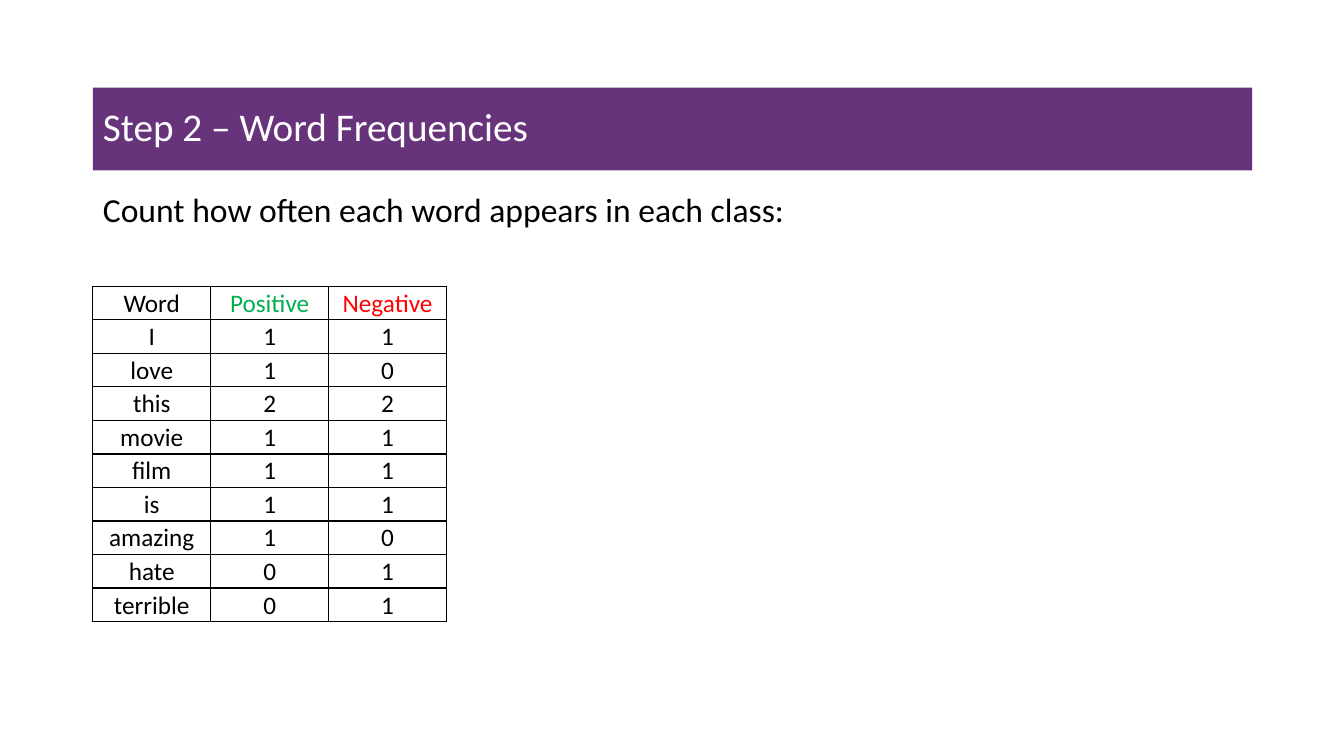
from dataclasses import dataclass

from lxml.etree import SubElement
from pptx import Presentation
from pptx.dml.color import RGBColor
from pptx.enum.text import MSO_ANCHOR, MSO_AUTO_SIZE, PP_ALIGN
from pptx.oxml.ns import qn
from pptx.util import Inches, Pt

COLORS = {
    "banner": "67337A",
    "white": "FFFFFF",
    "black": "000000",
    "positive": "00B050",
    "negative": "FF0000",
}
FONT = "Calibri"
LEFT = 0.92
COLUMN_WIDTH = 1.17
ROW_HEIGHT = 0.333


@dataclass(frozen=True)
class WordCount:
    word: str
    positive: int
    negative: int


@dataclass(frozen=True)
class TextBlock:
    text: str
    top: float
    height: float
    size: int
    color: str
    anchor: MSO_ANCHOR
    space_before: int


HEADERS = {"Word": "black", "Positive": "positive", "Negative": "negative"}
COUNTS = [
    WordCount("I", 1, 1),
    WordCount("love", 1, 0),
    WordCount("this", 2, 2),
    WordCount("movie", 1, 1),
    WordCount("film", 1, 1),
    WordCount("is", 1, 1),
    WordCount("amazing", 1, 0),
    WordCount("hate", 0, 1),
    WordCount("terrible", 0, 1),
]
TITLE = TextBlock("Step 2 – Word Frequencies", 0.87, 0.82, 28, "white", MSO_ANCHOR.MIDDLE, 0)
INTRO = TextBlock(
    "Count how often each word appears in each class:", 1.87, 0.55, 24, "black", MSO_ANCHOR.TOP, 10
)


def rgb(name: str) -> RGBColor:
    return RGBColor.from_string(COLORS[name])


def style_paragraph(paragraph, size: int, color: str, alignment: PP_ALIGN) -> None:
    paragraph.alignment = alignment
    paragraph.font.name = FONT
    paragraph.font.size = Pt(size)
    paragraph.font.color.rgb = rgb(color)


def fill_placeholder(placeholder, block: TextBlock) -> None:
    placeholder.left, placeholder.top = Inches(LEFT), Inches(block.top)
    placeholder.width, placeholder.height = Inches(11.5), Inches(block.height)
    frame = placeholder.text_frame
    frame.text = block.text
    frame.word_wrap = True
    frame.auto_size = MSO_AUTO_SIZE.NONE
    frame.vertical_anchor = block.anchor
    paragraph = frame.paragraphs[0]
    properties = paragraph._p.get_or_add_pPr()
    properties.set("marL", "0")
    properties.set("indent", "0")
    SubElement(properties, qn("a:buNone"))
    paragraph.line_spacing = 0.9
    paragraph.space_before = Pt(block.space_before)
    style_paragraph(paragraph, block.size, block.color, PP_ALIGN.LEFT)


def add_borders(cell) -> None:
    properties = cell._tc.get_or_add_tcPr()
    for position, side in enumerate(("a:lnL", "a:lnR", "a:lnT", "a:lnB")):
        border = properties.makeelement(qn(side), {"w": str(Pt(1))})
        properties.insert(position, border)
        solid = SubElement(border, qn("a:solidFill"))
        SubElement(solid, qn("a:srgbClr"), val=COLORS["black"])


def fill_cell(cell, text: str, color: str) -> None:
    cell.text = text
    cell.vertical_anchor = MSO_ANCHOR.MIDDLE
    cell.margin_left = cell.margin_right = cell.margin_top = Inches(0.01)
    cell.margin_bottom = 0
    cell.fill.background()
    style_paragraph(cell.text_frame.paragraphs[0], 18, color, PP_ALIGN.CENTER)
    add_borders(cell)


def add_frequency_table(slide) -> None:
    rows = [list(HEADERS.items())]
    for count in COUNTS:
        values = (count.word, count.positive, count.negative)
        rows.append([(str(value), "black") for value in values])
    frequencies = slide.shapes.add_table(
        len(rows),
        len(HEADERS),
        Inches(LEFT),
        Inches(2.84),
        Inches(COLUMN_WIDTH * len(HEADERS)),
        Inches(ROW_HEIGHT * len(rows)),
    ).table
    frequencies.first_row = False
    frequencies.horz_banding = False
    for row_index, row in enumerate(rows):
        for column_index, (text, color) in enumerate(row):
            fill_cell(frequencies.cell(row_index, column_index), text, color)


def main() -> None:
    presentation = Presentation()
    presentation.slide_width = Inches(13.33)
    presentation.slide_height = Inches(7.5)
    slide = presentation.slides.add_slide(presentation.slide_layouts[1])
    title, intro = slide.placeholders
    fill_placeholder(title, TITLE)
    title.fill.solid()
    title.fill.fore_color.rgb = rgb("banner")
    fill_placeholder(intro, INTRO)
    add_frequency_table(slide)
    presentation.save("out.pptx")


if __name__ == "__main__":
    main()
